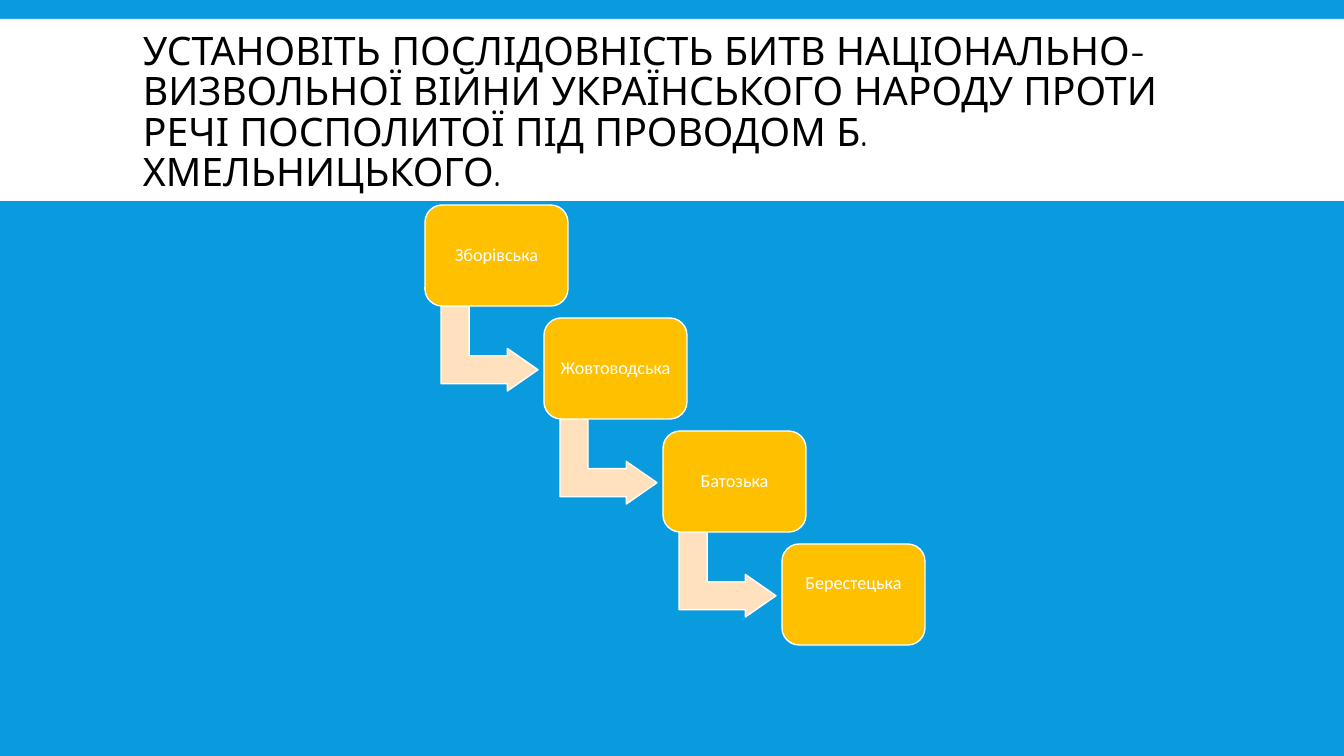
"""Build a slide with a stepped sequence of battles under a white title band."""
from dataclasses import dataclass

from pptx import Presentation
from pptx.dml.color import RGBColor
from pptx.enum.shapes import MSO_SHAPE
from pptx.enum.text import MSO_ANCHOR, PP_ALIGN
from pptx.util import Emu, Pt

TITLE = (
    "УСТАНОВІТЬ ПОСЛІДОВНІСТЬ БИТВ НАЦІОНАЛЬНО-ВИЗВОЛЬНОЇ ВІЙНИ "
    "УКРАЇНСЬКОГО НАРОДУ ПРОТИ РЕЧІ ПОСПОЛИТОЇ ПІД ПРОВОДОМ Б. ХМЕЛЬНИЦЬКОГО."
)
BATTLES = ["Зборівська", "Жовтоводська", "Батозька", "Берестецька"]

SLIDE_SIZE = (1344, 756)
BAND = (0, 19, 1344, 182)
TITLE_BOX = (133, 31, 1079, 166)
FIRST_STEP = (425, 205)
STEP_SIZE = (143, 101)
STEP_SHIFT = (119, 113)
ARROW_OFFSET = (22, 95)
ARROW_SIZE = (85, 97)
STEP_INSET = 5
LAST_LABEL_LIFT = 22


@dataclass(frozen=True)
class Theme:
    background: str = "099BDD"
    white: str = "FFFFFF"
    title: str = "000000"
    step: str = "FFC000"
    arrow: str = "FFE2BD"
    title_font: str = "Quicksand"
    step_font: str = "Calibri"
    title_size: int = 28
    step_size: int = 13


THEME = Theme()


def px(length):
    return Emu(round(length * 9525 * 96 / 100.8))


def color(value):
    return RGBColor.from_string(value)


def add_filled(slide, kind, area, fill, outlined=True, adjustments=()):
    shape = slide.shapes.add_shape(kind, *map(px, area))
    shape.shadow.inherit = False
    shape.fill.solid()
    shape.fill.fore_color.rgb = color(fill)
    if outlined:
        shape.line.color.rgb = color(THEME.white)
        shape.line.width = Pt(1)
    else:
        shape.line.fill.background()
    for index, value in enumerate(adjustments):
        shape.adjustments[index] = value
    return shape


def write(shape, text, font, size, ink, align, spacing):
    frame = shape.text_frame
    frame.word_wrap = True
    frame.vertical_anchor = MSO_ANCHOR.MIDDLE
    frame.text = text
    para = frame.paragraphs[0]
    para.alignment = align
    para.line_spacing = spacing
    span = para.runs[0]
    span.font.name = font
    span.font.size = Pt(size)
    span.font.color.rgb = color(ink)
    return frame


def add_step(slide, index, battle):
    left, top = (start + index * shift for start, shift in zip(FIRST_STEP, STEP_SHIFT))
    is_last = index == len(BATTLES) - 1
    if not is_last:
        arrow_area = (left + ARROW_OFFSET[0], top + ARROW_OFFSET[1], *ARROW_SIZE)
        arrow = add_filled(slide, MSO_SHAPE.BENT_UP_ARROW, arrow_area, THEME.arrow,
                           adjustments=(0.33, 0.25, 0.36))
        arrow.rotation = 90
    box = add_filled(slide, MSO_SHAPE.ROUNDED_RECTANGLE, (left, top, *STEP_SIZE),
                     THEME.step, adjustments=(0.17,))
    frame = write(box, battle, THEME.step_font, THEME.step_size, THEME.white,
                  PP_ALIGN.CENTER, 0.9)
    frame.margin_left = frame.margin_right = frame.margin_top = px(STEP_INSET)
    frame.margin_bottom = px(STEP_INSET + (LAST_LABEL_LIFT if is_last else 0))


def main():
    deck = Presentation()
    deck.slide_width, deck.slide_height = map(px, SLIDE_SIZE)
    page = deck.slides.add_slide(deck.slide_layouts[6])
    page.background.fill.solid()
    page.background.fill.fore_color.rgb = color(THEME.background)

    add_filled(page, MSO_SHAPE.RECTANGLE, BAND, THEME.white, outlined=False)
    title = page.shapes.add_textbox(*map(px, TITLE_BOX))
    write(title, TITLE, THEME.title_font, THEME.title_size, THEME.title,
          PP_ALIGN.LEFT, 0.85)
    for index, battle in enumerate(BATTLES):
        add_step(page, index, battle)

    deck.save("out.pptx")


if __name__ == "__main__":
    main()
